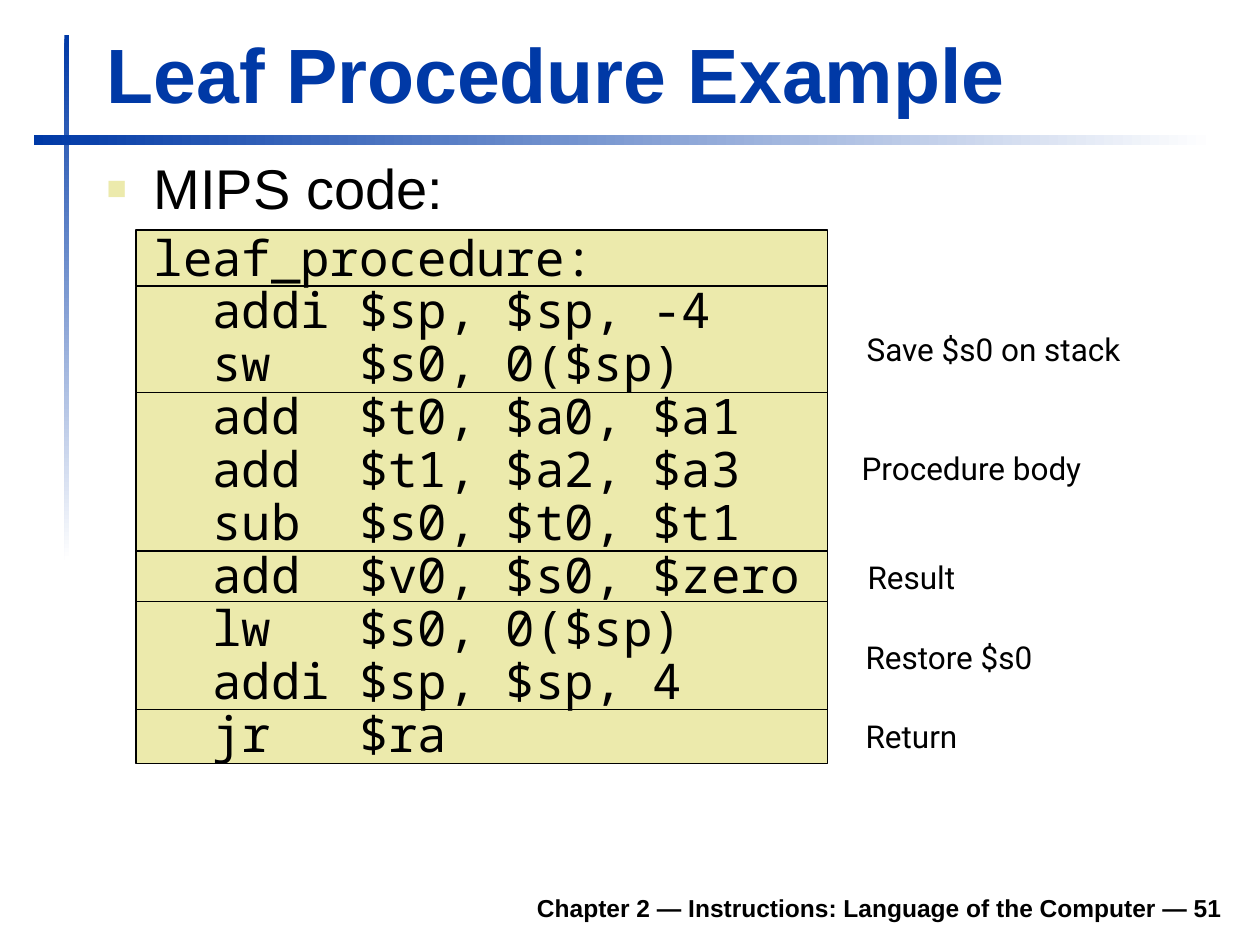
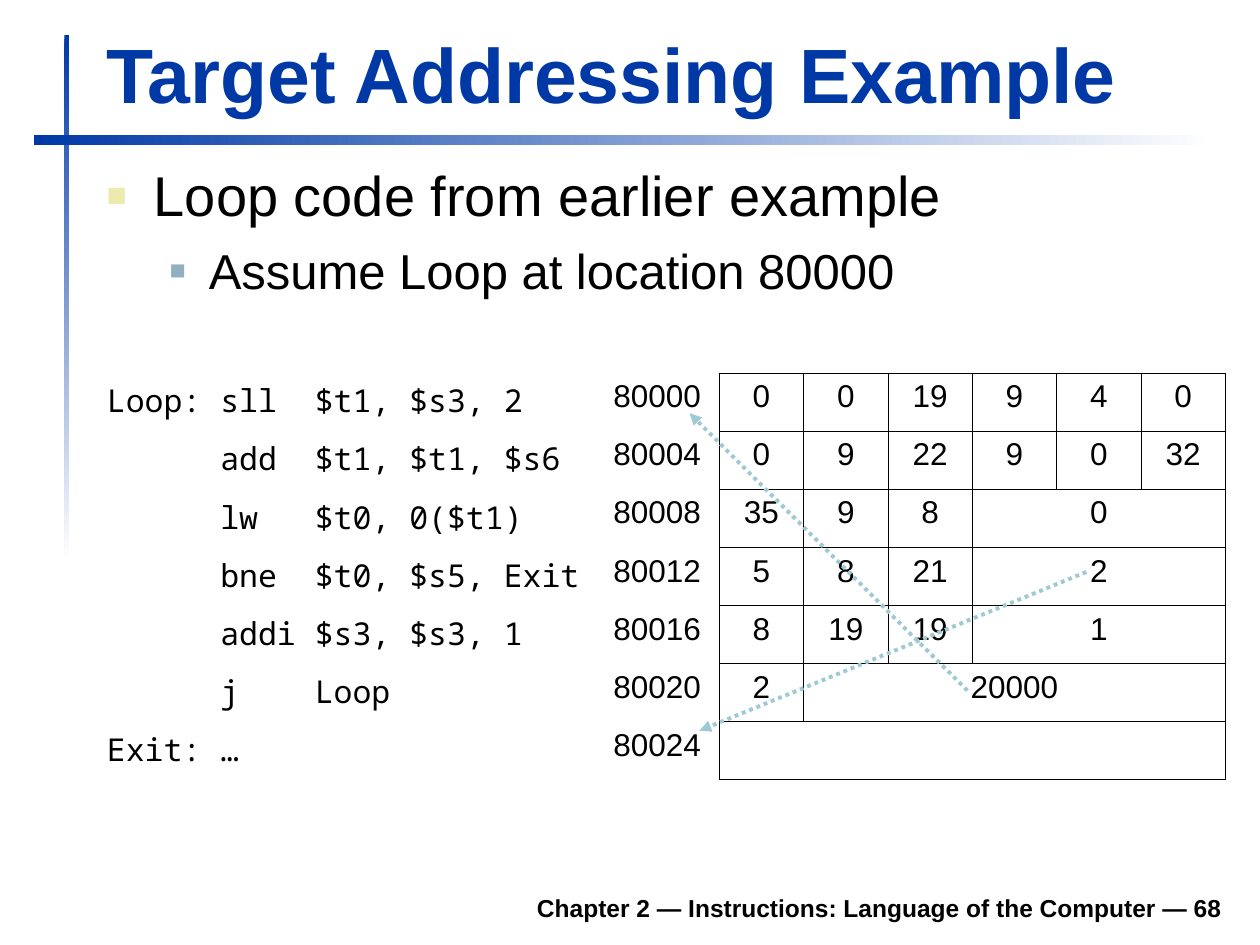
from lxml import etree
from pptx import Presentation
from pptx.dml.color import RGBColor
from pptx.enum.dml import MSO_LINE
from pptx.enum.shapes import MSO_CONNECTOR, MSO_SHAPE
from pptx.enum.text import MSO_ANCHOR, PP_ALIGN
from pptx.oxml.ns import qn
from pptx.util import Cm, Pt

RECT = MSO_SHAPE.RECTANGLE
STRAIGHT = MSO_CONNECTOR.STRAIGHT
DOTS = MSO_LINE.ROUND_DOT
TOP, BOTTOM = MSO_ANCHOR.TOP, MSO_ANCHOR.BOTTOM
LEFT, CENTER, RIGHT = PP_ALIGN.LEFT, PP_ALIGN.CENTER, PP_ALIGN.RIGHT

HUES = {"blue": "0039A6", "white": "FFFFFF", "black": "000000",
        "sand": "ECEAAC", "slate": "91AFBF", "aqua": "9FCAD3"}
SANS, MONO, NOTE = "Arial", "Noto Sans Mono", "Roboto"
CHAPTER = "Chapter 2 — Instructions: Language of the Computer"

CODE = """leaf_procedure:
  addi $sp, $sp, -4
  sw   $s0, 0($sp)
  add  $t0, $a0, $a1
  add  $t1, $a2, $a3
  sub  $s0, $t0, $t1
  add  $v0, $s0, $zero
  lw   $s0, 0($sp)
  addi $sp, $sp, 4
  jr   $ra"""
BANDS = [1.13, 2.15, 3.19, 1.02, 2.18, 1.09]
LABELS = [("Save $s0 on stack", 14.48, 1.89, 5.72),
          ("Procedure body", 14.38, 4.28, 5.26),
          ("Result", 14.5, 6.49, 2.4),
          ("Restore $s0", 14.46, 8.09, 4),
          ("Return", 14.46, 9.69, 2.54)]

LOOP = [("Loop: sll  $t1, $s3, 2", [0, 0, 19, 9, 4, 0]),
        ("      add  $t1, $t1, $s6", [0, 9, 22, 9, 0, 32]),
        ("      lw   $t0, 0($t1)", [35, 9, 8, 0]),
        ("      bne  $t0, $s5, Exit", [5, 8, 21, 2]),
        ("      addi $s3, $s3, 1", [8, 19, 19, 1]),
        ("      j    Loop", [2, 20000]),
        ("Exit: …", [""])]
WIDTHS = [10.21, 2.39] + [1.7] * 6
START, STEP = 80000, 4
JUMPS = [(17.6, 6.4, 12, 0.81), (20, 4.01, 12.2, 7.21)]


def rgb(hue):
    """Return the colour of a named hue."""
    return RGBColor.from_string(HUES[hue])


def style(para, size, face=SANS, hue="black", bold=False, align=LEFT):
    """Set the font and alignment of a paragraph."""
    para.alignment = align
    font = para.font
    font.size, font.name, font.bold = Pt(size), face, bold
    font.color.rgb = rgb(hue)


def frame(slide, box, anchor=TOP):
    """Add a wrapping text box and return its text frame."""
    area = slide.shapes.add_textbox(*map(Cm, box)).text_frame
    area.word_wrap = True
    area.vertical_anchor = anchor
    return area


def write(slide, box, text, size, anchor=TOP, **look):
    """Add a text box with one styled paragraph."""
    para = frame(slide, box, anchor).paragraphs[0]
    para.text = text
    style(para, size, **look)


def indent(para, left, first=0):
    """Set the left margin and first line indent of a paragraph."""
    props = para._p.get_or_add_pPr()
    props.set("marL", str(Cm(left)))
    props.set("indent", str(Cm(first)))
    return props


def bullet(para, text, size, hue, scale, left, hang):
    """Fill a paragraph with text after a square bullet."""
    para.text = text
    props = indent(para, left, -hang)
    color = etree.SubElement(props, qn("a:buClr"))
    etree.SubElement(color, qn("a:srgbClr"), val=HUES[hue])
    etree.SubElement(props, qn("a:buSzPct"), val=str(scale * 1000))
    etree.SubElement(props, qn("a:buFont"), typeface=SANS)
    etree.SubElement(props, qn("a:buChar"), char="■")
    style(para, size)


def topic(area, text):
    """Write the top level bullet of a body."""
    para = area.paragraphs[0]
    bullet(para, text, 32, "sand", 60, 0.95, 0.95)
    return para


def rule(slide, box, angle):
    """Add a bar that fades from blue to white."""
    bar = slide.shapes.add_shape(RECT, *map(Cm, box))
    bar.shadow.inherit = False
    bar.line.fill.background()
    bar.fill.gradient()
    bar.fill.gradient_angle = angle
    for stop, hue, place in zip(bar.fill.gradient_stops, ("blue", "white"), (0, 1)):
        stop.color.rgb = rgb(hue)
        stop.position = place


def base(deck, title, page):
    """Add a slide with the shared rules, footer and title."""
    slide = deck.slides.add_slide(deck.slide_layouts[6])
    rule(slide, (1.3, 0.71, 0.1, 10.59), 270)
    rule(slide, (0.69, 2.72, 23.8, 0.2), 0)
    write(slide, (4.7, 17.73, 20.19, 0.99), f"{CHAPTER} — {page}", 14,
          BOTTOM, bold=True, align=RIGHT)
    write(slide, (1.9, 0.41, 22.94, 2.11), title, 44, BOTTOM, hue="blue", bold=True)
    return slide


def panel(slide, left, top, width):
    """Stack the bands behind the code and label them."""
    for row, height in enumerate(BANDS):
        band = slide.shapes.add_shape(
            RECT, Cm(left), Cm(top + sum(BANDS[:row])), Cm(width), Cm(height))
        band.shadow.inherit = False
        band.fill.solid()
        band.fill.fore_color.rgb = rgb("sand")
        band.line.color.rgb = rgb("black")
        band.line.width = Pt(0.75)
    for text, over, down, wide in LABELS:
        write(slide, (left + over, top + down, wide, 1.02), text, 18, face=NOTE)


def leaf(deck):
    """Build the slide on the leaf procedure."""
    slide = base(deck, "Leaf Procedure Example", 51)
    panel(slide, 2.74, 4.64, 13.94)
    area = frame(slide, (1.9, 3.12, 22.96, 14.2))
    topic(area, "MIPS code:").line_spacing = 0.9
    code = area.add_paragraph()
    code.text = CODE.replace("\n", "\v")
    indent(code, 0.95)
    code.line_spacing = 0.9
    code.space_before = Pt(7)
    style(code, 28, MONO)


def edge(cell, hues):
    """Draw the left, right, top and bottom borders of a cell."""
    props = cell._tc.get_or_add_tcPr()
    for side, hue in zip("LRTB", hues):
        line = etree.SubElement(props, qn(f"a:ln{side}"), w=str(Pt(0.45)))
        fill = etree.SubElement(line, qn("a:solidFill"))
        etree.SubElement(fill, qn("a:srgbClr"), val=HUES[hue])
    cell.fill.background()


def put(cell, text, **look):
    """Write one styled value into a cell."""
    para = cell.text_frame.paragraphs[0]
    para.text = str(text)
    style(para, 18, **look)


def grid(slide, left, top, height):
    """Lay out the loop code, its addresses and its fields."""
    rows, cols = len(LOOP), len(WIDTHS)
    table = slide.shapes.add_table(
        rows, cols, Cm(left), Cm(top), Cm(sum(WIDTHS)), Cm(height * rows)).table
    table.first_row = table.horz_banding = False
    for col, width in zip(table.columns, WIDTHS):
        col.width = Cm(width)
    for row, (code, fields) in enumerate(LOOP):
        table.rows[row].height = Cm(height)
        for col in range(cols):
            hues = ["black" if col > 1 else "white"] * 4
            if col == 1:
                hues[1] = "black"
            edge(table.cell(row, col), hues)
        put(table.cell(row, 0), code, face=MONO)
        put(table.cell(row, 1), START + STEP * row)
        for col, value in enumerate(fields, 2):
            put(table.cell(row, col), value, align=CENTER)
        last = len(fields) + 1
        if last < cols - 1:
            table.cell(row, last).merge(table.cell(row, cols - 1))


def jump(slide, left, top, ends):
    """Draw a dotted arrow from a field to its target address."""
    x1, y1, x2, y2 = ends
    arrow = slide.shapes.add_connector(
        STRAIGHT, Cm(left + x1), Cm(top + y1), Cm(left + x2), Cm(top + y2))
    arrow.line.color.rgb = rgb("aqua")
    arrow.line.width = Pt(2.25)
    arrow.line.dash_style = DOTS
    props = arrow._element.spPr
    etree.SubElement(props.find(qn("a:ln")), qn("a:tailEnd"), type="triangle")
    etree.SubElement(props, qn("a:effectLst"))


def target(deck):
    """Build the slide on target addressing."""
    slide = base(deck, "Target Addressing Example", 68)
    area = frame(slide, (1.9, 3.12, 22.96, 3.4))
    topic(area, "Loop code from earlier example")
    para = area.add_paragraph()
    bullet(para, "Assume Loop at location 80000", 28, "slate", 55, 2.06, 0.79)
    para.level = 1
    para.space_before = Pt(7)
    left, top = 1.9, 7.52
    grid(slide, left, top, 1.17)
    for ends in JUMPS:
        jump(slide, left, top, ends)


def main():
    """Build and save the deck."""
    deck = Presentation()
    deck.slide_width, deck.slide_height = Cm(25.4), Cm(19.05)
    leaf(deck)
    target(deck)
    deck.save("out.pptx")


if __name__ == "__main__":
    main()
